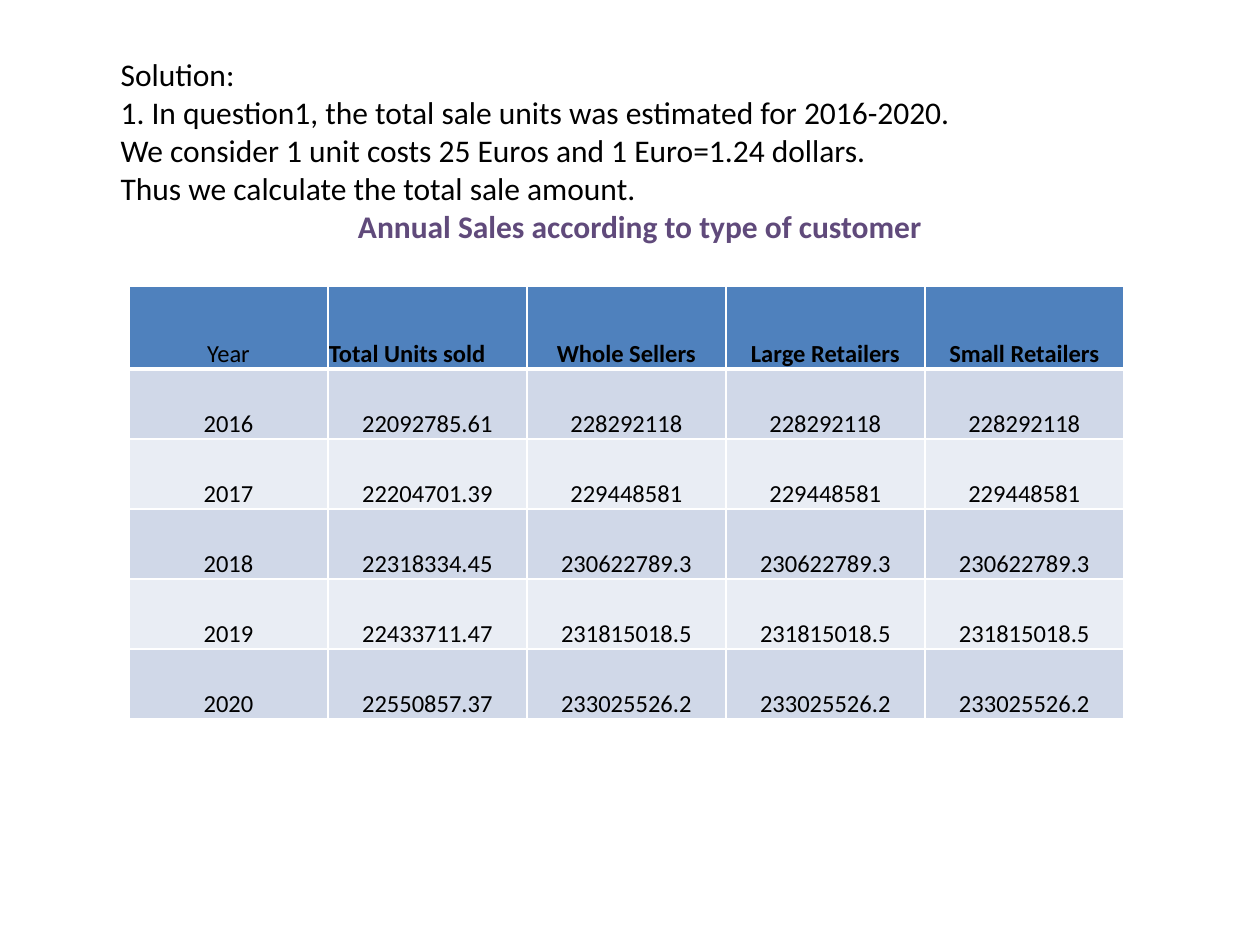
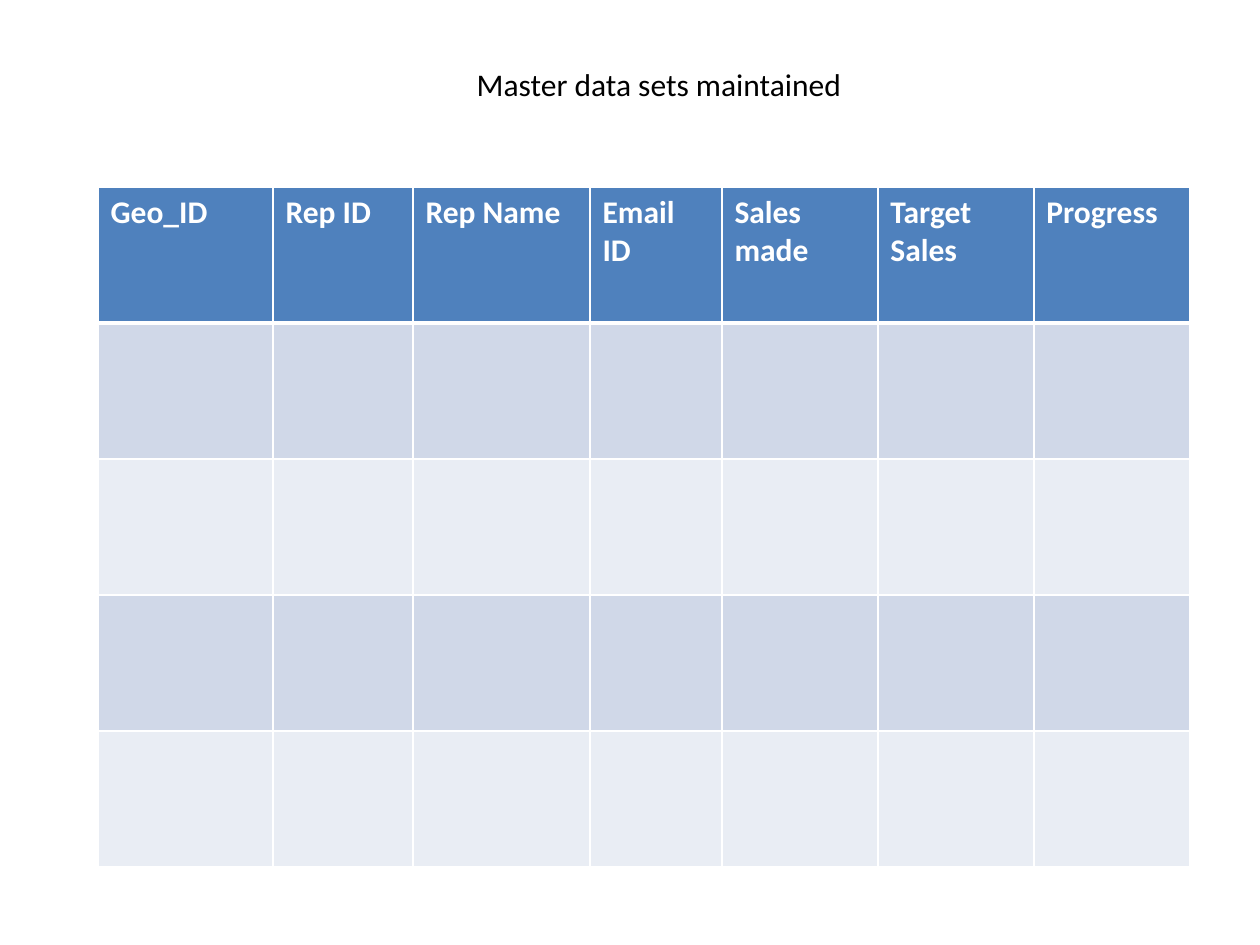
from lxml.etree import SubElement as Sub
from pptx import Presentation
from pptx.dml.color import RGBColor as RGB
from pptx.enum.text import MSO_ANCHOR as Anchor, PP_ALIGN as Align
from pptx.oxml.ns import qn
from pptx.util import Emu, Pt

SCALE = 914400 // 126
BLACK = RGB(0x00, 0x00, 0x00)
WHITE = RGB(0xFF, 0xFF, 0xFF)
PURPLE = RGB(0x60, 0x4A, 0x7B)
BLUE = RGB(0x4F, 0x81, 0xBD)
BANDS = RGB(0xE9, 0xED, 0xF4), RGB(0xD0, 0xD8, 0xE8)
LAYOUTS = {"body": 1, "title": 5}


def px(n):
    """Turn pixels into EMU."""
    return Emu(n * SCALE)


def apply(obj, **vals):
    """Set each named value on the object."""
    for key, val in vals.items():
        setattr(obj, key, val)


class Deck:
    """Hold the shared style and the current slide."""

    def __init__(self):
        """Start a deck of 10 by 7.5 inches."""
        self.prs = Presentation()
        apply(self.prs, slide_width=Pt(720), slide_height=Pt(540))

    def page(self, kind):
        """Add a slide with the named layout."""
        layout = self.prs.slide_layouts[LAYOUTS[kind]]
        self.slide = self.prs.slides.add_slide(layout)

    def label(self, para, text, align=Align.LEFT, color=BLACK, size=18, bold=False):
        """Fill one paragraph with styled text."""
        run = para.add_run()
        run.text = text
        apply(para, alignment=align, space_before=Pt(0))
        apply(run.font, name="Calibri", size=Pt(size), bold=bold)
        run.font.color.rgb = color

    def place(self, shape, box):
        """Move a placeholder and return its text frame."""
        left, top, width, height = map(px, box)
        apply(shape, left=left, top=top, width=width, height=height)
        apply(shape.text_frame, vertical_anchor=Anchor.TOP, word_wrap=True)
        return shape.text_frame

    def title(self, text, box):
        """Put a centred slide title."""
        frame = self.place(self.slide.shapes.title, box)
        self.label(frame.paragraphs[0], text, Align.CENTER)

    def body(self, lines, head, box):
        """Put plain lines and a heading in the body placeholder."""
        name = self.slide.shapes.title.element
        name.getparent().remove(name)
        frame = self.place(self.slide.placeholders[1], box)
        for i, line in enumerate([*lines, head]):
            para = frame.add_paragraph() if i else frame.paragraphs[0]
            style = dict(align=Align.CENTER, color=PURPLE, bold=True) if line == head else {}
            self.label(para, line, **style)
            props = para._p.get_or_add_pPr()
            props.set("marL", "0")
            props.set("indent", "0")
            Sub(props, qn("a:buNone"))

    def edge(self, cell, row):
        """Draw white cell borders, thick below the header."""
        props = cell._tc.get_or_add_tcPr()
        for side in "LRTB":
            thick = (row, side) in ((0, "B"), (1, "T"))
            line = Sub(props, qn("a:ln" + side), w=str(int(Pt(3 if thick else 1))))
            fill = Sub(line, qn("a:solidFill"))
            Sub(fill, qn("a:srgbClr"), val=str(WHITE))

    def table(self, spot, cols, rows, data, look, form=None):
        """Add a banded table; look gives the text style of a cell."""
        size = sum(cols), sum(rows)
        shape = self.slide.shapes.add_table(len(rows), len(cols), *map(px, spot + size))
        grid = shape.table
        for col, width in zip(grid.columns, cols):
            col.width = px(width)
        for r, height in enumerate(rows):
            grid.rows[r].height = px(height)
            for c in range(len(cols)):
                cell = grid.cell(r, c)
                apply(cell, **(form or {}))
                self.edge(cell, r)
                cell.fill.solid()
                cell.fill.fore_color.rgb = BANDS[r % 2] if r else BLUE
                if r < len(data):
                    self.label(cell.text_frame.paragraphs[0], data[r][c], **look(r, c))


def sales_look(r, c):
    """Style a cell of the sales table."""
    align = Align.LEFT if (r, c) == (0, 1) else Align.CENTER
    return dict(align=align, size=14, bold=r == 0 and c > 0)


def master_look(r, c):
    """Style a header cell of the master table."""
    return dict(color=WHITE, bold=True)


INTRO = (
    "Solution:",
    "1. In question1, the total sale units was estimated for 2016-2020.",
    "We consider 1 unit costs 25 Euros and 1 Euro=1.24 dollars.",
    "Thus we calculate the total sale amount.",
)
SALES = (
    ("2016", "22092785.61", "228292118"),
    ("2017", "22204701.39", "229448581"),
    ("2018", "22318334.45", "230622789.3"),
    ("2019", "22433711.47", "231815018.5"),
    ("2020", "22550857.37", "233025526.2"),
)
HEADS = ("Year", "Total Units sold", "Whole Sellers", "Large Retailers", "Small Retailers")
FIELDS = ("Geo_ID", "Rep ID", "Rep Name", "Email ID", "Sales made", "Target Sales", "Progress")
TIGHT = dict(
    margin_left=px(1), margin_top=px(1), margin_right=px(1), margin_bottom=px(0),
    vertical_anchor=Anchor.BOTTOM,
)

deck = Deck()

deck.page("body")
deck.body(INTRO, "Annual Sales according to type of customer", (108, 49, 1064, 776))
sales = [HEADS] + [(year, units, *[worth] * 3) for year, units, worth in SALES]
deck.table((129, 286), [199] * 5, [83] + [70] * 5, sales, sales_look, TIGHT)

deck.page("title")
deck.table((98, 187), [175, 140, 177, 132] + [156] * 3, [136] * 5, [FIELDS], master_look)
deck.title("Master data sets maintained", (295, 59, 728, 50))

deck.prs.save("out.pptx")
